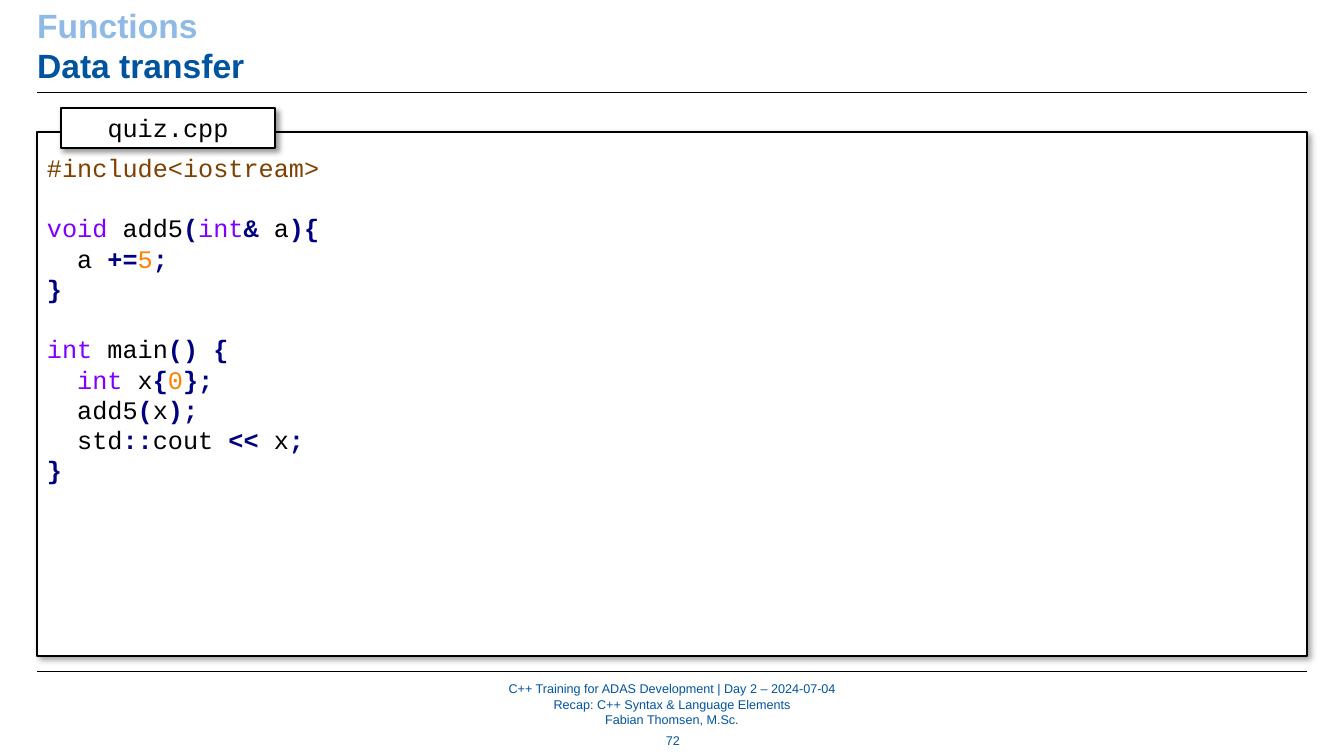
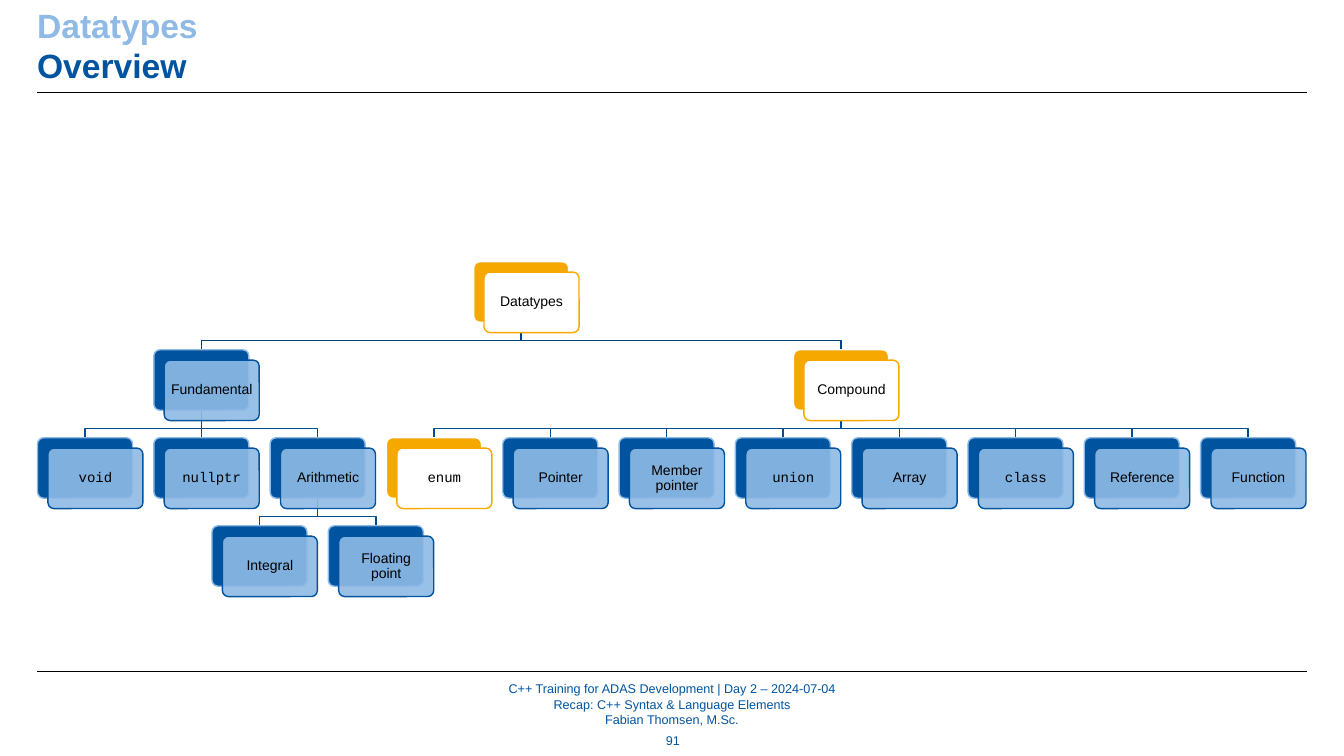
import pptx
import pptx.dml.color
import pptx.enum.shapes
import pptx.enum.text
import pptx.oxml
import pptx.oxml.ns
import pptx.util
from lxml import etree

Pt = pptx.util.Pt
SHAPE = pptx.enum.shapes.MSO_SHAPE
ANCHOR = pptx.enum.text.MSO_ANCHOR
ALIGN = pptx.enum.text.PP_ALIGN
qn = pptx.oxml.ns.qn

COLORS = {
    "blue": "00549F", "light": "8EBAE5", "orange": "F6A800",
    "white": "FFFFFF", "black": "000000",
    "root_link": "00437F", "link": "004C90",
    "directive": "804000", "keyword": "8000FF",
    "operator": "000080", "number": "FF8000",
}
SANS, MONO = "Arial", "Courier New"
LEFT, WIDTH = 26.5, 907.2
FOOTER = ["C++ Training for ADAS Development | Day 2 – 2024-07-04",
          "Recap: C++ Syntax & Language Elements",
          "Fabian Thomsen, M.Sc."]

CODE_SIZE, CODE_LINE = 18, 21.6
# Each line is a list of (token kind, text); an empty line becomes spacing.
QUIZ = [
    [("directive", "#include<iostream>")],
    [],
    [("keyword", "void"), ("black", " add5"), ("operator", "("), ("keyword", "int"),
     ("operator", "&"), ("black", " a"), ("operator", "){")],
    [("black", "  a "), ("operator", "+="), ("number", "5"), ("operator", ";")],
    [("operator", "}")],
    [],
    [("keyword", "int"), ("black", " main"), ("operator", "()"), ("black", " "),
     ("operator", "{")],
    [("black", "  "), ("keyword", "int"), ("black", " x"), ("operator", "{"),
     ("number", "0"), ("operator", "};")],
    [("black", "  add5"), ("operator", "("), ("black", "x"), ("operator", ");")],
    [("black", "  std"), ("operator", "::"), ("black", "cout "), ("operator", "<<"),
     ("black", " x"), ("operator", ";")],
    [("operator", "}")],
]

# Each branch: parent, row of the parent, column of the first child, children.
BRANCHES = [
    ("Arithmetic", 2, 1.5, ["Integral", "Floating point"]),
    ("Fundamental", 1, 0, ["void", "nullptr", "Arithmetic"]),
    ("Compound", 1, 3, ["enum", "Pointer", "Member pointer", "union", "Array",
                        "class", "Reference", "Function"]),
]
ROOT = "Datatypes"
KEYWORDS = {"void", "nullptr", "enum", "union", "class"}
HIGHLIGHTED = {ROOT, "Compound", "enum"}
COL_STEP, ROW_STEP = 83.08, 62.85
NODE_W, NODE_H, NODE_OFFSET = 67.9, 43.2, 7.4
BAR_DROP = 13.2


def rgb(name):
    return pptx.dml.color.RGBColor.from_string(COLORS[name])


def add_run(p, text, size, color, font=SANS, bold=False):
    r = p.add_run()
    r.text = text
    r.font.size, r.font.name, r.font.bold = Pt(size), font, bold
    r.font.color.rgb = rgb(color)


def set_frame(sp, insets, anchor):
    """Set the (left, top, right, bottom) insets and anchor of a text frame."""
    tf = sp.text_frame
    tf.word_wrap = True
    tf.vertical_anchor = anchor
    tf.margin_left, tf.margin_top, tf.margin_right, tf.margin_bottom = map(Pt, insets)
    return tf


def add_text(s, box, lines, size, align, anchor, bold=False):
    """Add a text box with one paragraph for each (text, color) line."""
    tf = set_frame(s.shapes.add_textbox(*map(Pt, box)), (0, 0, 0, 0), anchor)
    for i, (text, color) in enumerate(lines):
        p = tf.add_paragraph() if i else tf.paragraphs[0]
        p.alignment = align
        add_run(p, text, size, color, bold=bold)


def add_box(s, kind, box, fill, line, line_width):
    sp = s.shapes.add_shape(kind, *map(Pt, box))
    sp.shadow.inherit = False
    sp.fill.solid()
    sp.fill.fore_color.rgb = rgb(fill)
    sp.line.color.rgb = rgb(line)
    sp.line.width = Pt(line_width)
    return sp


def add_line(s, x1, y1, x2, y2, color, width):
    cn = s.shapes.add_connector(pptx.enum.shapes.MSO_CONNECTOR.STRAIGHT,
                                Pt(x1), Pt(y1), Pt(x2), Pt(y2))
    cn.line.color.rgb = rgb(color)
    cn.line.width = Pt(width)
    etree.SubElement(cn._element.spPr, qn("a:effectLst"))


def add_shadow(sp):
    effects = sp._element.spPr.find(qn("a:effectLst"))
    shadow = etree.SubElement(effects, qn("a:outerShdw"), blurRad=str(Pt(4)),
                              dist=str(Pt(3)), dir="2700000", algn="tl",
                              rotWithShape="0")
    color = etree.SubElement(shadow, qn("a:srgbClr"), val=COLORS["black"])
    etree.SubElement(color, qn("a:alpha"), val="40000")


def set_opacity(sp, percent):
    color = sp._element.spPr.find(qn("a:solidFill")).find(qn("a:srgbClr"))
    etree.SubElement(color, qn("a:alpha"), val=str(percent * 1000))


def add_base_slide(prs, topic, title, number):
    """Add a slide with the shared title, rules, footer and page number."""
    s = prs.slides.add_slide(prs.slide_layouts[6])
    for y in (66.2, 479.5):
        add_line(s, LEFT, y, LEFT + WIDTH, y, "black", 0.5)
    add_text(s, (LEFT, 3.6, WIDTH, 58.3), [(topic, "light"), (title, "blue")],
             24, ALIGN.LEFT, ANCHOR.TOP, bold=True)
    add_text(s, (247, 486.3, 466, 33.1), [(line, "blue") for line in FOOTER],
             9, ALIGN.CENTER, ANCHOR.MIDDLE)
    add_text(s, (462, 519.4, 37.4, 18.7), [(str(number), "blue")],
             9, ALIGN.CENTER, ANCHOR.MIDDLE)
    return s


def add_code_panel(s, box, file_name, code):
    x, y, w, h = box
    panel = add_box(s, SHAPE.RECTANGLE, box, "white", "black", 1.5)
    add_shadow(panel)
    tf = set_frame(panel, (7.2, 14.4, 7.2, 3.6), ANCHOR.TOP)
    p, gap = tf.paragraphs[0], 0
    for i, tokens in enumerate(code):
        if not tokens:
            gap += CODE_LINE
            continue
        if i:
            p = tf.add_paragraph()
        p.alignment = ALIGN.LEFT
        p.space_before = Pt(gap)
        gap = 0
        for kind, text in tokens:
            add_run(p, text, CODE_SIZE, kind, MONO, kind == "operator")

    tab = add_box(s, SHAPE.RECTANGLE, (x + 16.8, y - 17.2, 153.4, 28.5),
                  "white", "black", 1.5)
    add_shadow(tab)
    p = set_frame(tab, (7.2, 3.6, 7.2, 3.6), ANCHOR.MIDDLE).paragraphs[0]
    p.alignment = ALIGN.CENTER
    add_run(p, file_name, CODE_SIZE, "black", MONO)


def add_node(s, x, y, text):
    """Add a card with its label on a second card behind it."""
    marked = text in HIGHLIGHTED
    back = ("orange", "white") if marked else ("blue", "light")
    front = ("white", "orange") if marked else ("light", "blue")
    for offset, (fill, line) in ((0, back), (NODE_OFFSET, front)):
        card = add_box(s, SHAPE.ROUNDED_RECTANGLE,
                       (x + offset, y + offset, NODE_W, NODE_H), fill, line, 1)
        card.adjustments[0] = 0.1
    if not marked:
        set_opacity(card, 90)
    p = set_frame(card, (3, 3, 3, 3), ANCHOR.MIDDLE).paragraphs[0]
    p.alignment = ALIGN.CENTER
    p.line_spacing = 0.9
    add_run(p, text, 10, "black", MONO if text in KEYWORDS else SANS)


def add_link(s, parent, child, color):
    """Join a parent to a child, with a bend unless the child is right below."""
    x1, y1 = parent[0] + NODE_W / 2, parent[1] + NODE_H
    x2, y2 = child[0] + NODE_W / 2, child[1]
    if abs(x1 - x2) < 0.01:
        add_line(s, x1, y1, x2, y2, color, 1)
        return
    bar = y1 + BAR_DROP
    outline = s.shapes.build_freeform(Pt(x1), Pt(y1))
    outline.add_line_segments([(Pt(x), Pt(y)) for x, y in
                               ((x1, bar), (x2, bar), (x2, y2))], close=False)
    sp = outline.convert_to_shape()
    sp.shadow.inherit = False
    sp.fill.background()
    sp.line.color.rgb = rgb(color)
    sp.line.width = Pt(1)


def add_tree(s, left, top):
    def at(col, row):
        return left + col * COL_STEP, top + row * ROW_STEP

    places, columns, links = {}, {}, []
    for parent, row, first, children in BRANCHES:
        columns[parent] = first + (len(children) - 1) / 2
        places[parent] = at(columns[parent], row)
        for i, child in enumerate(children):
            places[child] = at(first + i, row + 1)
            links.append((parent, child, "link"))
    tops = ["Fundamental", "Compound"]
    places[ROOT] = at(sum(columns[name] for name in tops) / 2, 0)
    links += [(ROOT, name, "root_link") for name in tops]

    for parent, child, color in links:
        add_link(s, places[parent], places[child], color)
    for text, (x, y) in places.items():
        add_node(s, x, y, text)


def main():
    prs = pptx.Presentation()
    prs.slide_width, prs.slide_height = Pt(960), Pt(540)
    s = add_base_slide(prs, "Functions", "Data transfer", 72)
    add_code_panel(s, (LEFT, 94.3, WIDTH, 374.4), "quiz.cpp", QUIZ)
    s = add_base_slide(prs, "Datatypes", "Overview", 91)
    add_tree(s, 26.8, 187)
    prs.save("out.pptx")


if __name__ == "__main__":
    main()
